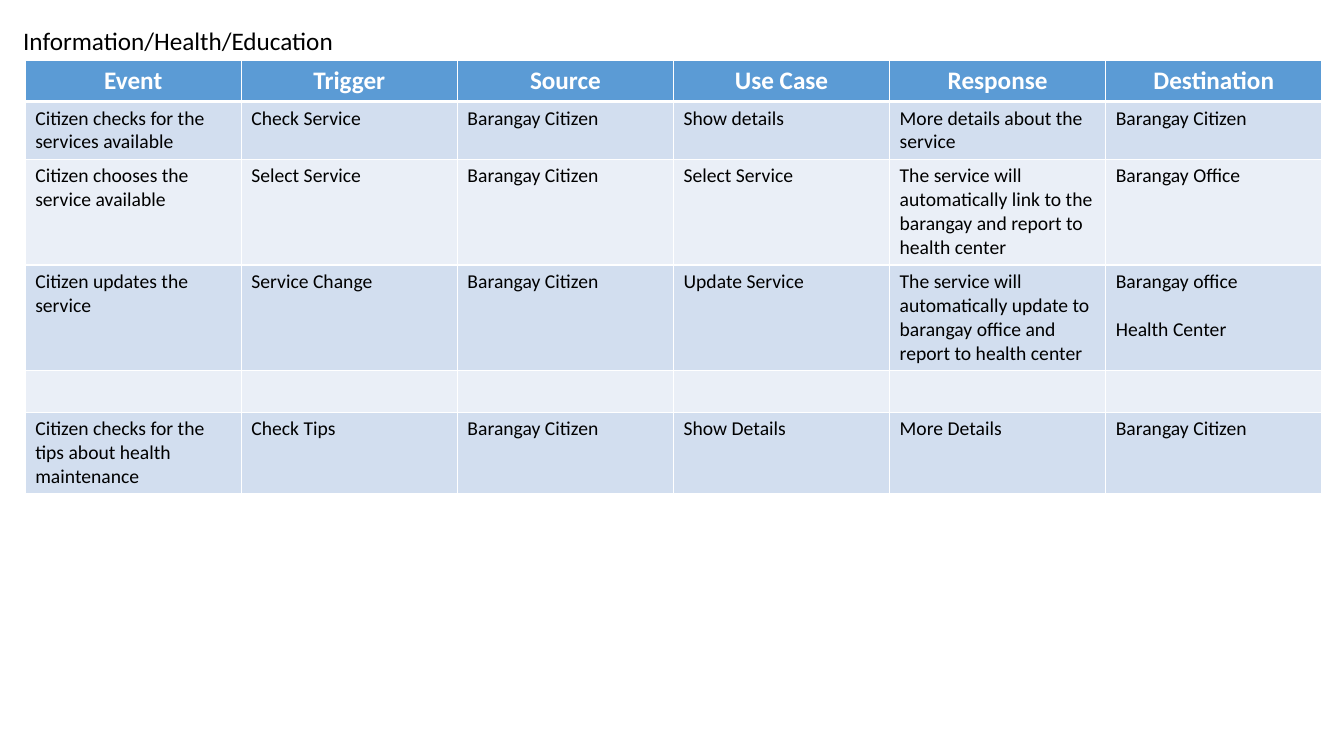
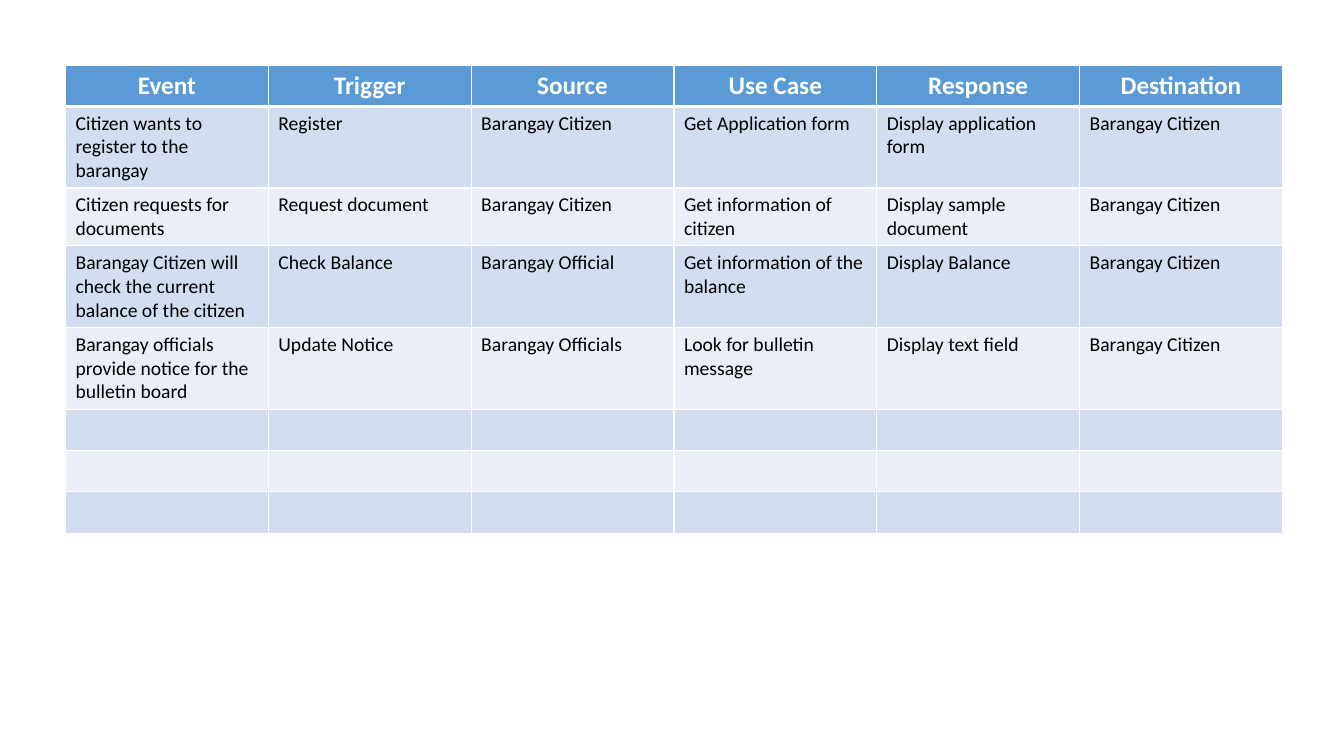
import pptx
import pptx.dml.color
import pptx.enum.text
import pptx.oxml
import pptx.oxml.ns
import pptx.util

Inches, Pt = pptx.util.Inches, pptx.util.Pt
Align = pptx.enum.text.PP_ALIGN
FONT = "Calibri"
COLORS = {"header": "5B9BD5", "odd": "D2DEEF", "even": "EAEFF7",
          "line": "FFFFFF", "text": "000000", "header_text": "FFFFFF"}
HEADERS = ["Event", "Trigger", "Source", "Use Case", "Response", "Destination"]
TITLE_ONLY, BLANK = 5, 6
EMPTY_ROW = [""] * len(HEADERS)

# Each row: height in inches, then its cell texts
SERVICE_ROWS = [
    (0.57, ["Citizen checks for the services available", "Check Service",
            "Barangay Citizen", "Show details", "More details about the service",
            "Barangay Citizen"]),
    (1.05, ["Citizen chooses the service available", "Select Service",
            "Barangay Citizen", "Select Service",
            "The service will automatically link to the barangay and report to "
            "health center", "Barangay Office"]),
    (1.05, ["Citizen updates the service", "Service Change", "Barangay Citizen",
            "Update Service",
            "The service will automatically update to barangay office and report "
            "to health center", "Barangay office\nHealth Center"]),
    (0.41, EMPTY_ROW),
    (0.81, ["Citizen checks for the tips about health maintenance", "Check Tips",
            "Barangay Citizen", "Show Details", "More Details",
            "Barangay Citizen"]),
]
DOCUMENT_ROWS = [
    (0.81, ["Citizen wants to register to the barangay", "Register",
            "Barangay Citizen", "Get Application form",
            "Display application form", "Barangay Citizen"]),
    (0.57, ["Citizen requests for documents", "Request document",
            "Barangay Citizen", "Get information of citizen",
            "Display sample document", "Barangay Citizen"]),
    (0.81, ["Barangay Citizen will check the current balance of the citizen",
            "Check Balance", "Barangay Official",
            "Get information of the balance", "Display Balance",
            "Barangay Citizen"]),
    (0.81, ["Barangay officials provide notice for the bulletin board",
            "Update Notice", "Barangay Officials", "Look for bulletin message",
            "Display text field", "Barangay Citizen"]),
] + [(0.41, EMPTY_ROW)] * 3


def rgb(name):
    return pptx.dml.color.RGBColor.from_string(COLORS[name])


def style_font(font, size, color, bold=False):
    font.name, font.size, font.bold = FONT, Pt(size), bold
    font.color.rgb = rgb(color)


def set_borders(cell, top, bottom):
    """Draw the cell's four edges; widths are in points."""
    tcPr = cell._tc.get_or_add_tcPr()
    for side, width in (("L", 1), ("R", 1), ("T", top), ("B", bottom)):
        tcPr.append(pptx.oxml.parse_xml(
            f'<a:ln{side} {pptx.oxml.ns.nsdecls("a")} w="{Pt(width)}">'
            f'<a:solidFill><a:srgbClr val="{COLORS["line"]}"/></a:solidFill>'
            f'</a:ln{side}>'))


def fill_cell(cell, text, row):
    header = row == 0
    set_borders(cell, top=3 if row == 1 else 1, bottom=3 if header else 1)
    cell.fill.solid()
    cell.fill.fore_color.rgb = rgb(
        "header" if header else "odd" if row % 2 else "even")
    if not text:
        return
    cell.text = text
    for i, p in enumerate(cell.text_frame.paragraphs):
        if header:
            p.alignment = Align.CENTER
            style_font(p.font, 18, "header_text", bold=True)
        else:
            style_font(p.font, 14, "text")
            if i:
                p.space_before = Pt(17)


def add_event_table(s, left, top, width, body_rows):
    rows = [(0.4, HEADERS)] + body_rows
    height = sum(h for h, _ in rows)
    table = s.shapes.add_table(len(rows), len(HEADERS), Inches(left), Inches(top),
                               Inches(width), Inches(height)).table
    for r, (row_height, texts) in enumerate(rows):
        table.rows[r].height = Inches(row_height)
        for c, text in enumerate(texts):
            fill_cell(table.cell(r, c), text, r)


def add_heading(s, left, top, width, height, text):
    title = s.shapes.title
    title.left, title.top = Inches(left), Inches(top)
    title.width, title.height = Inches(width), Inches(height)
    tf = title.text_frame
    tf.text = text
    tf.word_wrap = False
    tf.auto_size = pptx.enum.text.MSO_AUTO_SIZE.NONE
    tf.vertical_anchor = pptx.enum.text.MSO_ANCHOR.TOP
    p = tf.paragraphs[0]
    p.alignment = Align.LEFT
    style_font(p.font, 18, "text")


def main():
    prs = pptx.Presentation()
    prs.slide_width, prs.slide_height = Inches(13.33), Inches(7.5)

    # Services and health tips
    s = prs.slides.add_slide(prs.slide_layouts[TITLE_ONLY])
    add_heading(s, 0.13, 0.2, 3.31, 0.4, "Information/Health/Education")
    add_event_table(s, 0.25, 0.6, 12.86, SERVICE_ROWS)

    # Registration, documents and notices
    s = prs.slides.add_slide(prs.slide_layouts[BLANK])
    add_event_table(s, 0.65, 0.65, 12.07, DOCUMENT_ROWS)

    prs.save("out.pptx")


if __name__ == "__main__":
    main()
